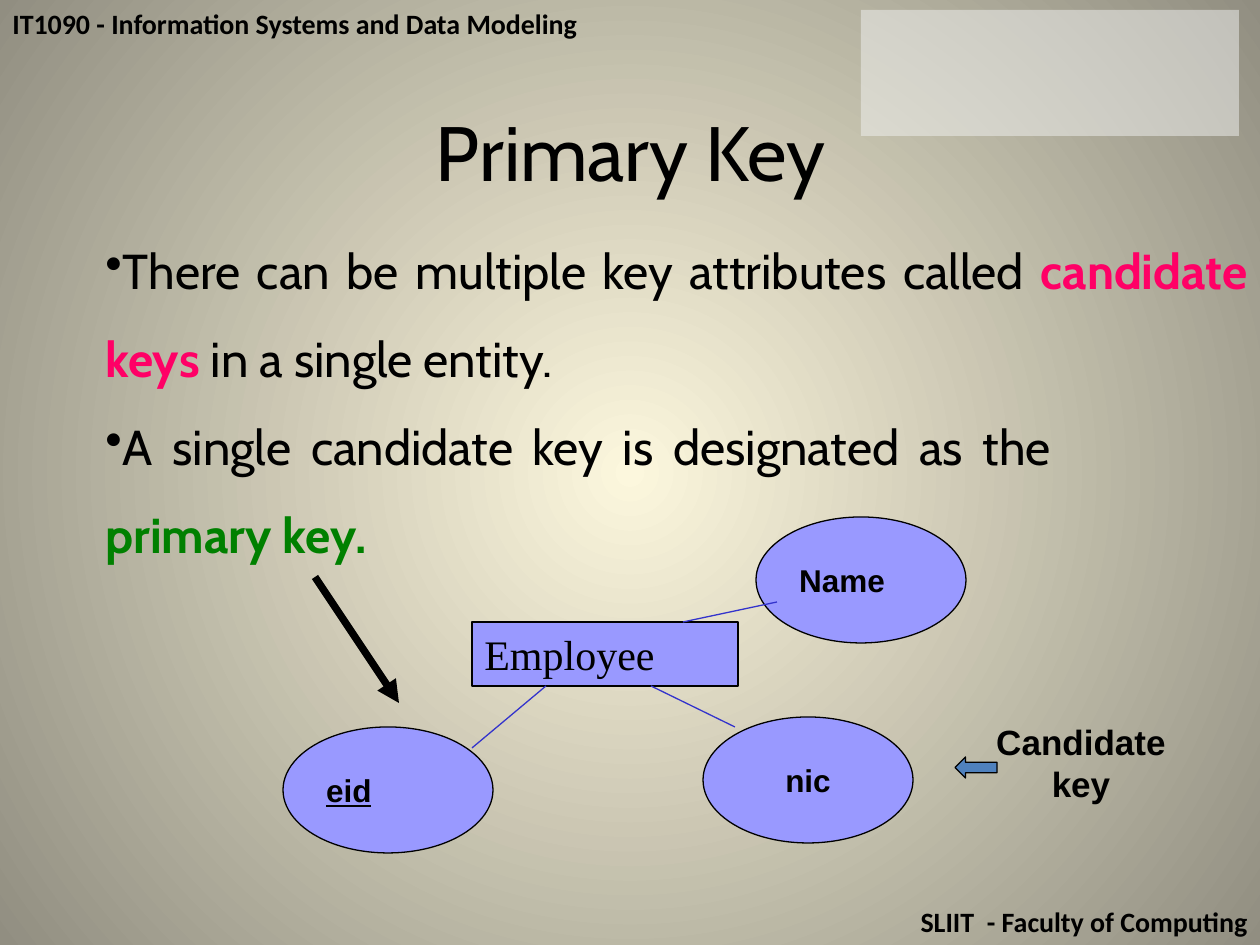
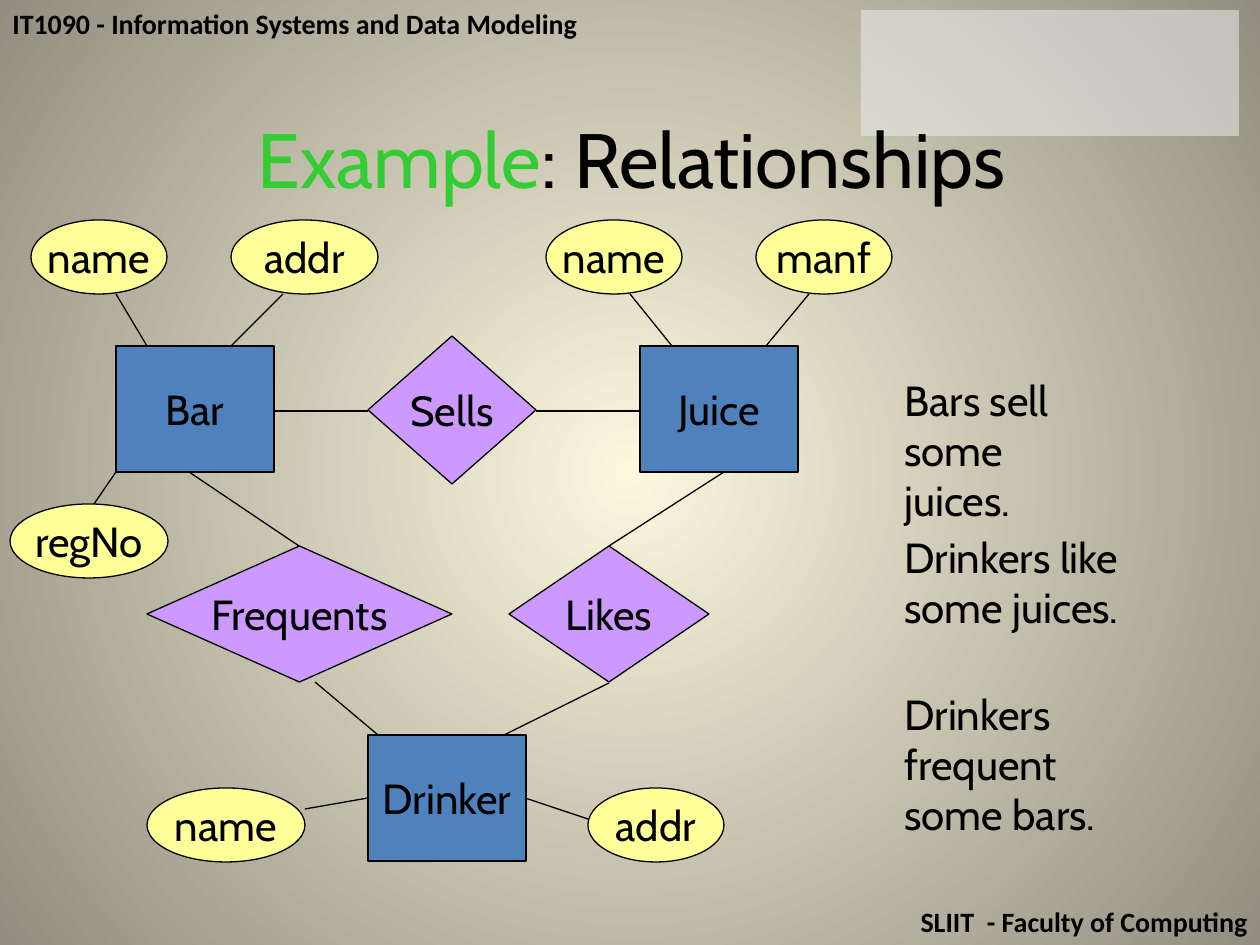
from pptx import Presentation
from pptx.dml.color import RGBColor
from pptx.enum.shapes import MSO_CONNECTOR, MSO_SHAPE
from pptx.enum.text import MSO_ANCHOR, PP_ALIGN
from pptx.oxml import parse_xml
from pptx.oxml.ns import nsdecls, qn
from pptx.util import Emu, Pt

EMU_PER_PX = 914400 / 126
SLIDE_WIDTH, SLIDE_HEIGHT = 1260, 945

BLACK = "000000"
BLUE = "4F81BD"
YELLOW = "FFFF99"
PURPLE = "CC99FF"
LAVENDER = "9999FF"
INDIGO = "3333CC"

BAND = {"name": "Calibri", "size": Pt(16), "bold": True}
TITLE = {"name": "Cabin", "size": Pt(44)}
STATEMENT = {"name": "Cabin", "size": Pt(28)}
DIAGRAM = {"name": "Cabin", "size": Pt(24)}
ENTITY = {"name": "Times New Roman", "size": Pt(24)}
ATTRIBUTE = {"name": "Arial", "size": Pt(18), "bold": True}
KEY_ATTRIBUTE = {**ATTRIBUTE, "underline": True}
CALLOUT = {"name": "Arial", "size": Pt(20), "bold": True}

CENTERED = {"alignment": PP_ALIGN.CENTER}
LEFT = {"alignment": PP_ALIGN.LEFT}
RIGHT = {"alignment": PP_ALIGN.RIGHT}
JUSTIFIED = {"alignment": PP_ALIGN.JUSTIFY, "line_spacing": 1.5}
MIDDLE = {"vertical_anchor": MSO_ANCHOR.MIDDLE, "word_wrap": True}
MIDDLE_UNWRAPPED = {**MIDDLE, "word_wrap": False}
TOP = {"vertical_anchor": MSO_ANCHOR.TOP, "word_wrap": True}


def px(length):
    """Turn whole px into EMU."""
    return Emu(round(length * EMU_PER_PX))


def color(code):
    """Turn a hex string into a colour."""
    return RGBColor.from_string(code)


def apply(target, formats):
    """Set every format value on the target."""
    for attribute, value in formats.items():
        setattr(target, attribute, value)


def shifted(origin, point):
    """Move a point that is relative to an origin."""
    return origin[0] + point[0], origin[1] + point[1]


def write(frame, paragraphs, font, layout, frame_format, bullet=None):
    """Fill a frame with paragraphs, each a list of (text, colour, bold) runs."""
    apply(frame, frame_format)
    for index, runs in enumerate(paragraphs):
        paragraph = frame.add_paragraph() if index else frame.paragraphs[0]
        if bullet:
            properties = paragraph._p.get_or_add_pPr()
            apply_indent = {"marL": "0", "indent": "0"}
            for key, value in apply_indent.items():
                properties.set(key, value)
            properties.append(parse_xml(f'<a:buChar {nsdecls("a")} char="{bullet}"/>'))
        apply(paragraph, layout)
        for text, code, bold in runs:
            run = paragraph.add_run()
            run.text = text
            apply(run.font, font)
            if bold:
                run.font.bold = True
            run.font.color.rgb = color(code)


def text_box(slide, box, paragraphs, font, layout=LEFT, bullet=None):
    """Place wrapping text in a box."""
    frame = slide.shapes.add_textbox(*map(px, box)).text_frame
    write(frame, paragraphs, font, layout, TOP, bullet)


def plain(text):
    """Make a paragraph of one black run."""
    return [(text, BLACK, False)]


def node(slide, preset, box, fill, label=None, font=DIAGRAM, layout=CENTERED,
         frame_format=MIDDLE_UNWRAPPED):
    """Draw a filled, outlined shape with an optional label."""
    shape = slide.shapes.add_shape(preset, *map(px, box))
    shape.shadow.inherit = False
    shape.fill.solid()
    shape.fill.fore_color.rgb = color(fill)
    shape.line.color.rgb = color(BLACK)
    shape.line.width = Pt(0.75)
    if label:
        write(shape.text_frame, [plain(label)], font, layout, frame_format)
    return shape


def link(slide, origin, ends, code=BLACK, width=0.75, arrow=False):
    """Draw a line between two points relative to an origin."""
    start, end = (shifted(origin, point) for point in ends)
    line = slide.shapes.add_connector(MSO_CONNECTOR.STRAIGHT, *map(px, start + end))
    line.line.color.rgb = color(code)
    line.line.width = Pt(width)
    if arrow:
        head = parse_xml(f'<a:tailEnd {nsdecls("a")} type="triangle"/>')
        line.line._get_or_add_ln().append(head)
    line._element.spPr.append(parse_xml(f'<a:effectLst {nsdecls("a")}/>'))


def set_background(master):
    """Give the master a round glow from cream to grey."""
    fill = master.background.fill
    fill.gradient()
    for stop, position, code in zip(fill.gradient_stops, (0, 1), ("FCF7DD", "918E81")):
        stop.position = position
        stop.color.rgb = color(code)
    linear = next(master._element.iter(qn("a:lin")))
    linear.getparent().replace(linear, parse_xml(
        f'<a:path {nsdecls("a")} path="circle">'
        '<a:fillToRect l="50000" t="50000" r="50000" b="50000"/></a:path>'))


def emblem_panel(slide, box):
    """Draw the half-transparent panel in the corner."""
    panel = node(slide, MSO_SHAPE.RECTANGLE, box, "F2F2F2")
    panel.line.fill.background()
    tone = next(panel._element.spPr.iter(qn("a:srgbClr")))
    tone.append(parse_xml(f'<a:alpha {nsdecls("a")} val="50000"/>'))


def lecture_slide(deck, title_box, title_runs):
    """Add a slide with its bands, corner panel and title."""
    slide = deck.slides.add_slide(deck.slide_layouts[6])
    text_box(slide, (0, 0, SLIDE_WIDTH, 47),
             [plain("IT1090 - Information Systems and Data Modeling")], BAND)
    text_box(slide, (0, SLIDE_HEIGHT - 47, SLIDE_WIDTH, 47),
             [plain("SLIIT  - Faculty of Computing")], BAND, RIGHT)
    emblem_panel(slide, (861, 10, 378, 126))
    text_box(slide, title_box, [title_runs], TITLE, CENTERED)
    return slide


def employee_diagram(slide, origin):
    """Draw the employee entity with its three attributes."""
    attributes = [
        ((0, 210), "eid", KEY_ATTRIBUTE, LEFT, ((189, 231), (263, 169))),
        ((420, 200), "nic", ATTRIBUTE, CENTERED, ((368, 169), (452, 210))),
        ((473, 0), "Name", ATTRIBUTE, LEFT, ((494, 85), (400, 105))),
    ]
    node(slide, MSO_SHAPE.RECTANGLE, shifted(origin, (189, 105)) + (266, 64),
         LAVENDER, "Employee", ENTITY, LEFT, TOP)
    for corner, label, font, layout, ends in attributes:
        node(slide, MSO_SHAPE.OVAL, shifted(origin, corner) + (210, 126),
             LAVENDER, label, font, layout, MIDDLE)
        link(slide, origin, ends, INDIGO)


def candidate_callout(slide, origin):
    """Label the candidate key with a block arrow."""
    text_box(slide, shifted(origin, (21, 0)) + (210, 97),
             [plain("Candidate key")], CALLOUT, CENTERED)
    node(slide, MSO_SHAPE.LEFT_ARROW, shifted(origin, (0, 43)) + (42, 21), BLUE)


def entity(slide, origin, name, attributes):
    """Draw an entity and its attributes, placed relative to its corner."""
    node(slide, MSO_SHAPE.RECTANGLE, origin + (158, 126), BLUE, name)
    for label, corner, width, ends in attributes:
        node(slide, MSO_SHAPE.OVAL, shifted(origin, corner) + (width, 74), YELLOW, label)
        link(slide, origin, ends)


def relationship(slide, box, name, links):
    """Draw a relationship diamond and its links, relative to its corner."""
    node(slide, MSO_SHAPE.DIAMOND, box, PURPLE, name)
    for ends in links:
        link(slide, box[:2], ends)


def primary_key_slide(deck):
    """Build the slide on primary and candidate keys."""
    slide = lecture_slide(deck, (192, 98, 878, 126), plain("Primary Key"))
    statements = [
        ((93, 205, 1167, 176), [
            ("There can be multiple key attributes called ", BLACK, False),
            ("candidate keys ", "FF0066", True),
            ("in a single entity.", BLACK, False)]),
        ((93, 381, 970, 176), [
            ("A single candidate key is designated as the ", BLACK, False),
            ("primary key.", "008000", True)]),
    ]
    for box, runs in statements:
        text_box(slide, box, [runs], STATEMENT, JUSTIFIED, "•")
    employee_diagram(slide, (283, 517))
    link(slide, (315, 577), ((0, 0), (84, 126)), width=4.25, arrow=True)
    candidate_callout(slide, (955, 714))


def relationships_slide(deck):
    """Build the slide with the example of relationships."""
    slide = lecture_slide(deck, (96, 105, 1072, 93), [
        ("Example", "33CC33", False), (": Relationships", BLACK, False)])
    entities = [
        ((368, 735), "Drinker", [
            ("addr", (220, 53), 136, ((220, 84), (157, 63))),
            ("name", (-221, 53), 158, ((-63, 74), (0, 63)))]),
        ((640, 346), "Juice", [
            ("manf", (116, -126), 136, ((169, -52), (126, 0))),
            ("name", (-94, -126), 136, ((-10, -52), (32, 0)))]),
        ((116, 346), "Bar", [
            ("name", (-85, -126), 136, ((0, -52), (31, 0))),
            ("regNo", (-106, 158), 158, ((-22, 158), (0, 126))),
            ("addr", (115, -126), 147, ((167, -52), (115, 0)))]),
    ]
    relationships = [
        ((368, 336, 168, 148), "Sells",
         [((0, 75), (-94, 75)), ((168, 75), (272, 75))],
         273, ("Bars sell some", "juices.")),
        ((509, 546, 200, 136), "Likes",
         [((-5, 189), (100, 137)), ((100, 0), (215, -74))],
         242, ("Drinkers like", "some juices.")),
        ((147, 546, 305, 136), "Frequents",
         [((152, 0), (42, -74)), ((231, 189), (168, 136))],
         328, ("Drinkers frequent", "some bars.")),
    ]
    for corner, name, attributes in entities:
        entity(slide, corner, name, attributes)
    for row, (box, name, links, width, sentence) in enumerate(relationships):
        relationship(slide, box, name, links)
        text_box(slide, (892, 368 + 157 * row, width, 115),
                 [plain(line) for line in sentence], DIAGRAM)


def main():
    """Build and save the deck."""
    deck = Presentation()
    apply(deck, {"slide_width": px(SLIDE_WIDTH), "slide_height": px(SLIDE_HEIGHT)})
    set_background(deck.slide_master)
    primary_key_slide(deck)
    relationships_slide(deck)
    deck.save("out.pptx")


if __name__ == "__main__":
    main()
